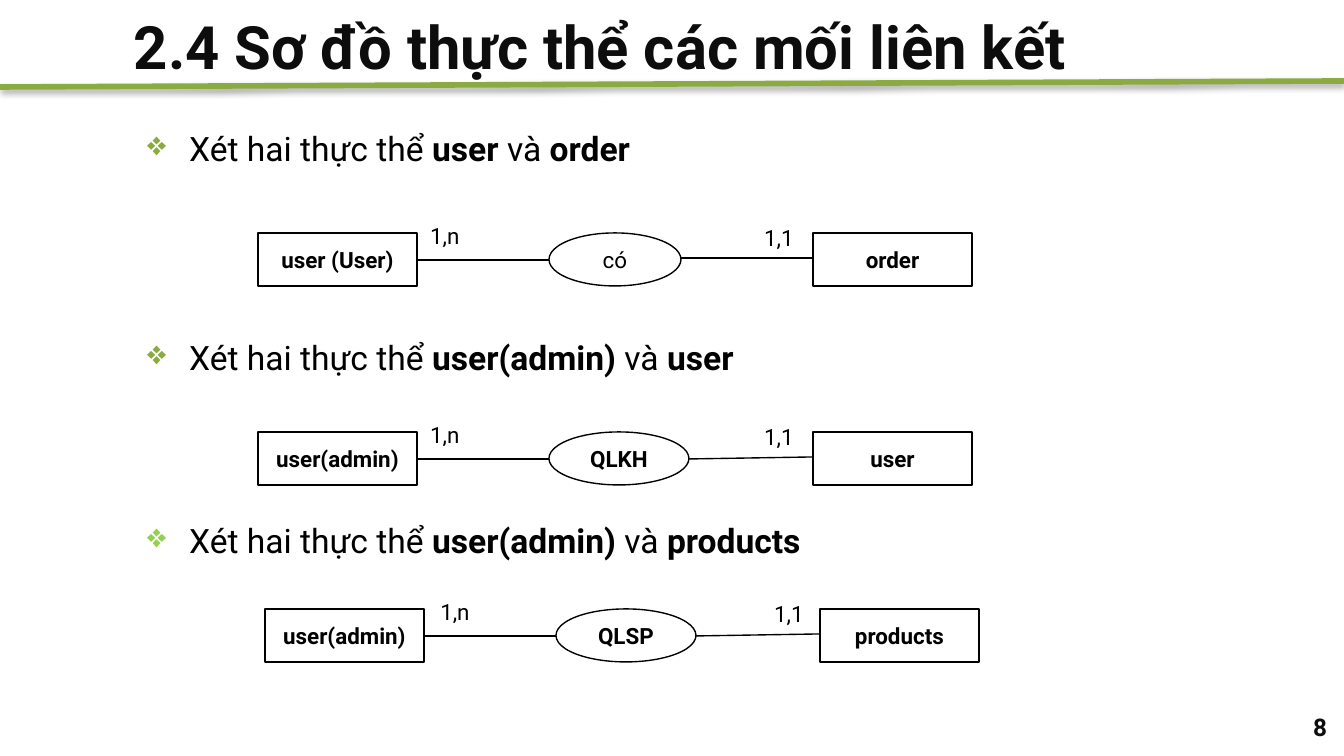
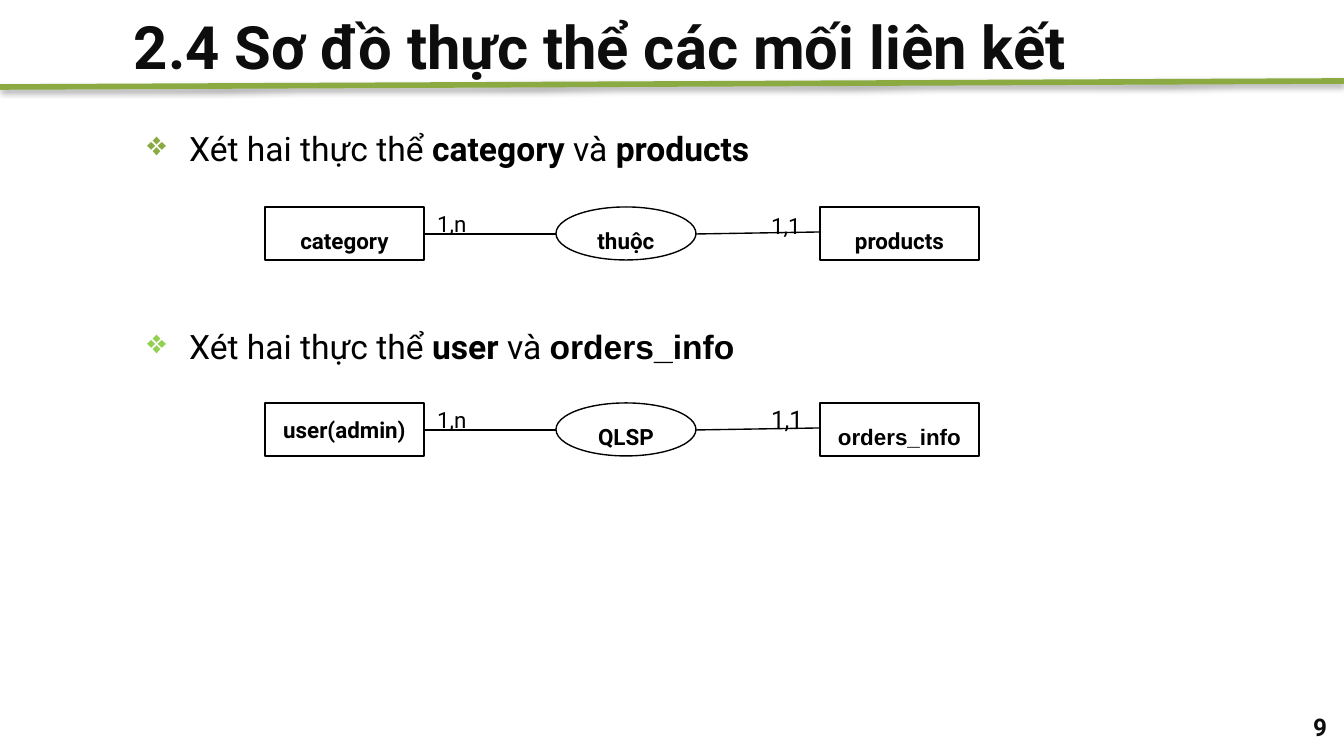
from dataclasses import dataclass

from lxml.etree import SubElement
from pptx import Presentation
from pptx.dml.color import RGBColor
from pptx.enum.shapes import MSO_CONNECTOR, MSO_SHAPE
from pptx.enum.text import MSO_ANCHOR, PP_ALIGN
from pptx.oxml.ns import qn
from pptx.util import Emu, Pt

EMU_PER_PX = 914400 / 134.4


@dataclass(frozen=True)
class Theme:
    font: str = "Roboto"
    alt_font: str = "Arial"
    heading: str = "0D0D0D"
    ink: str = "000000"
    paper: str = "FFFFFF"
    green: str = "8BAB42"
    lime: str = "92D050"
    title_size: int = 32
    bullet_size: int = 18
    node_size: int = 12
    page_size: int = 13
    rule_width: float = 3
    line_width: float = 0.75


THEME = Theme()
TITLE = "2.4 Sơ đồ thực thể các mối liên kết"
NODE_W, NODE_H = 159, 53
OVAL_X, RIGHT_X = 291, 555
LABEL_W, LABEL_H = 62, 46


def px(n):
    return Emu(round(n * EMU_PER_PX))


def rgb(value):
    return RGBColor.from_string(value)


def write(sp, *runs, size=THEME.node_size, font=THEME.font, color=THEME.ink, bold=False,
          align=PP_ALIGN.LEFT, anchor=MSO_ANCHOR.TOP, spacing=None, inset=None):
    """Fill one paragraph; a run is plain text or (text, bold, font)."""
    tf = sp.text_frame
    tf.word_wrap = True
    tf.vertical_anchor = anchor
    if inset is not None:
        tf.margin_left = tf.margin_right = tf.margin_top = tf.margin_bottom = px(inset)
    p = tf.paragraphs[0]
    p.alignment = align
    if spacing:
        p.line_spacing = spacing
    for run in runs:
        text, is_bold, face = (run, bold, font) if isinstance(run, str) else run
        r = p.add_run()
        r.text = text
        r.font.size = Pt(size)
        r.font.name = face
        r.font.bold = is_bold
        r.font.color.rgb = rgb(color)
    return p


def add_text(shapes, box, *runs, **fmt):
    return write(shapes.add_textbox(*map(px, box)), *runs, **fmt)


def add_line(shapes, x1, y1, x2, y2, color=THEME.ink, width=THEME.line_width):
    """Draw a straight line and return its empty effect list."""
    line = shapes.add_connector(MSO_CONNECTOR.STRAIGHT, px(x1), px(y1), px(x2), px(y2))
    line.line.color.rgb = rgb(color)
    line.line.width = Pt(width)
    return SubElement(line._element.spPr, qn("a:effectLst"))


def add_node(shapes, kind, box, text, **fmt):
    sp = shapes.add_shape(kind, *map(px, box))
    sp.shadow.inherit = False
    sp.fill.solid()
    sp.fill.fore_color.rgb = rgb(THEME.paper)
    sp.line.color.rgb = rgb(THEME.ink)
    sp.line.width = Pt(THEME.line_width)
    write(sp, text, align=PP_ALIGN.CENTER, anchor=MSO_ANCHOR.MIDDLE, **fmt)


def add_frame(slide, number):
    """Title, shadowed rule and page number."""
    shapes = slide.shapes
    add_text(shapes, (1246, 698, 81, 58), str(number), size=THEME.page_size, bold=True,
             color=THEME.heading, align=PP_ALIGN.RIGHT, anchor=MSO_ANCHOR.MIDDLE, inset=0)
    add_text(shapes, (134, 0, 1210, 81), TITLE, size=THEME.title_size, bold=True,
             color=THEME.heading, anchor=MSO_ANCHOR.BOTTOM, inset=0)
    effects = add_line(shapes, 0, 87, 1344, 81, THEME.green, THEME.rule_width)
    shadow = SubElement(effects, qn("a:outerShdw"), blurRad=str(Pt(3.1)), dist=str(Pt(1.8)),
                        dir="5400000", rotWithShape="0")
    tint = SubElement(shadow, qn("a:srgbClr"), val=THEME.ink)
    SubElement(tint, qn("a:alpha"), val="35000")


def add_bullet(slide, top, first, second, color=THEME.green, second_font=THEME.font):
    p = add_text(slide.shapes, (134, top, 974, 54), "Xét hai thực thể ",
                 (first, True, THEME.font), " và ", (second, True, second_font),
                 size=THEME.bullet_size)
    pPr = p._p.get_or_add_pPr()
    pPr.set("marL", str(px(42)))
    pPr.set("indent", str(px(-42)))
    SubElement(SubElement(pPr, qn("a:buClr")), qn("a:srgbClr"), val=color)
    SubElement(pPr, qn("a:buChar"), char="❖")


def add_relation(slide, left, top, names, oval_w=140, drop=2, oval_bold=True, spacing=None,
                 left_spacing=None, right_font=THEME.font, label_align=PP_ALIGN.LEFT,
                 one_rise=15, one_size=THEME.node_size):
    """Entity, relationship and entity, joined by lines with cardinalities."""
    shapes = slide.shapes.add_group_shape().shapes
    source, verb, target = names
    right, oval, mid = left + RIGHT_X, left + OVAL_X, top + 27
    add_node(shapes, MSO_SHAPE.RECTANGLE, (left, top, NODE_W, NODE_H), source,
             bold=True, spacing=left_spacing)
    add_node(shapes, MSO_SHAPE.OVAL, (oval, top, oval_w, NODE_H), verb,
             bold=oval_bold, spacing=spacing)
    add_node(shapes, MSO_SHAPE.RECTANGLE, (right, top, NODE_W, NODE_H), target,
             bold=True, spacing=spacing, font=right_font)
    add_line(shapes, left + NODE_W, mid, oval, mid)
    add_line(shapes, oval + oval_w, mid - 2 + drop, right, mid - 2)
    add_text(shapes, (left + NODE_W, top - 17, LABEL_W, LABEL_H), "1,n",
             spacing=spacing, align=label_align)
    add_text(shapes, (right - LABEL_W, top - one_rise, LABEL_W, LABEL_H), "1,1",
             spacing=spacing, align=label_align, size=one_size)


def build_user_slide(slide):
    add_frame(slide, 8)
    add_bullet(slide, 121, "user", "order")
    add_relation(slide, 258, 233, ("user (User)", "có", "order"),
                 oval_w=132, drop=0, oval_bold=False)
    add_bullet(slide, 330, "user(admin)", "user")
    add_relation(slide, 258, 432, ("user(admin)", "QLKH", "user"))
    add_bullet(slide, 513, "user(admin)", "products", THEME.lime)
    add_relation(slide, 265, 609, ("user(admin)", "QLSP", "products"),
                 label_align=PP_ALIGN.CENTER)


def build_product_slide(slide):
    add_frame(slide, 9)
    add_bullet(slide, 121, "category", "products")
    add_relation(slide, 265, 207, ("category", "thuộc", "products"),
                 spacing=1.5, left_spacing=1.5)
    add_bullet(slide, 319, "user", "orders_info", THEME.lime, THEME.alt_font)
    add_relation(slide, 265, 403, ("user(admin)", "QLSP", "orders_info"), spacing=1.5,
                 right_font=THEME.alt_font, one_rise=20, one_size=THEME.page_size)


def main():
    prs = Presentation()
    prs.slide_width, prs.slide_height = px(1344), px(756)
    for build in (build_user_slide, build_product_slide):
        build(prs.slides.add_slide(prs.slide_layouts[6]))
    prs.save("out.pptx")


if __name__ == "__main__":
    main()
